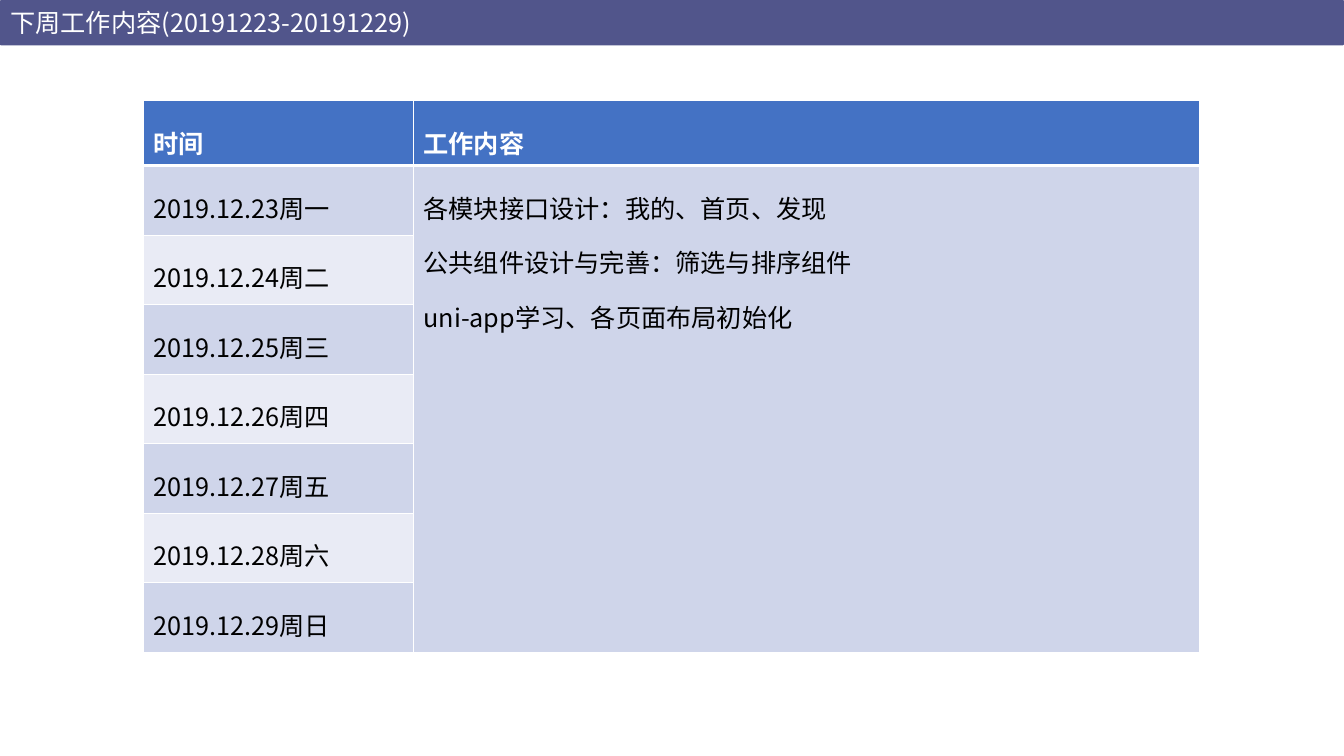
from dataclasses import dataclass

from lxml.etree import SubElement
from pptx import Presentation
from pptx.dml.color import RGBColor
from pptx.enum.shapes import MSO_SHAPE
from pptx.enum.text import MSO_ANCHOR, PP_ALIGN
from pptx.oxml.ns import qn
from pptx.util import Inches, Pt


@dataclass(frozen=True)
class Theme:
    """Colours and type used on the slide."""
    font: str = "Noto Sans CJK SC"
    size: int = 18
    line_spacing: float = 1.5
    white: str = "FFFFFF"
    black: str = "000000"
    banner: str = "51558B"
    header: str = "4472C4"
    bands: tuple = ("CFD5EA", "E9EBF5")
    rule: int = 1
    header_rule: int = 3


THEME = Theme()
SLIDE_WIDTH = Inches(13.33)
TITLE = "下周工作内容(20191223-20191229)"
HEADINGS = ("时间", "工作内容")
DAYS = [f"2019.12.{23 + i}周{name}" for i, name in enumerate("一二三四五六日")]
TASKS = (
    "各模块接口设计：我的、首页、发现",
    "公共组件设计与完善：筛选与排序组件",
    "uni-app学习、各页面布局初始化",
)


def write_lines(frame, lines, color, bold=False, spacing=None):
    """Write one styled paragraph per line into a text frame."""
    frame.text = "\n".join(lines)
    for paragraph in frame.paragraphs:
        paragraph.alignment = PP_ALIGN.LEFT
        paragraph.line_spacing = spacing
        font = paragraph.font
        font.name, font.size, font.bold = THEME.font, Pt(THEME.size), bold
        font.color.rgb = RGBColor.from_string(color)
        properties = paragraph._p.pPr.find(qn("a:defRPr"))
        SubElement(properties, qn("a:ea"), typeface=THEME.font)


def paint(fill, color):
    """Apply a solid colour to a fill."""
    fill.solid()
    fill.fore_color.rgb = RGBColor.from_string(color)


def add_banner(slide):
    """Add the title bar across the top of the slide."""
    banner = slide.shapes.add_shape(
        MSO_SHAPE.ROUNDED_RECTANGLE, 0, 0, SLIDE_WIDTH, Inches(0.45))
    banner.adjustments[0] = 0.03
    banner.shadow.inherit = False
    paint(banner.fill, THEME.banner)
    banner.line.fill.background()
    banner.text_frame.vertical_anchor = MSO_ANCHOR.MIDDLE
    write_lines(banner.text_frame, [TITLE], THEME.white)


def set_borders(cell, top, bottom):
    """Draw white borders around a cell, with widths in points."""
    properties = cell._tc.get_or_add_tcPr()
    widths = {"L": THEME.rule, "R": THEME.rule, "T": top, "B": bottom}
    for side, width in widths.items():
        line = SubElement(properties, qn(f"a:ln{side}"), w=str(Pt(width)))
        fill = SubElement(line, qn("a:solidFill"))
        SubElement(fill, qn("a:srgbClr"), val=THEME.white)


def style_cell(cell, row):
    """Give a cell the borders and fill that belong to its row."""
    set_borders(cell,
                top=THEME.header_rule if row == 1 else THEME.rule,
                bottom=THEME.header_rule if row == 0 else THEME.rule)
    paint(cell.fill, THEME.bands[(row - 1) % 2] if row else THEME.header)


def add_schedule(slide):
    """Add the table of days beside the tasks for the week."""
    header_height, day_height = Inches(0.42), Inches(0.69)
    widths = Inches(2.68), Inches(7.8)
    schedule = slide.shapes.add_table(
        len(DAYS) + 1, len(HEADINGS), Inches(1.42), Inches(1), sum(widths),
        header_height + day_height * len(DAYS)).table
    for column, width in zip(schedule.columns, widths):
        column.width = width
    for index, row in enumerate(schedule.rows):
        row.height = day_height if index else header_height
        for cell in row.cells:
            style_cell(cell, index)
    tasks = schedule.cell(1, 1)
    tasks.merge(schedule.cell(len(DAYS), 1))

    for column, heading in enumerate(HEADINGS):
        write_lines(schedule.cell(0, column).text_frame, [heading],
                    THEME.white, True, THEME.line_spacing)
    for row, day in enumerate(DAYS, start=1):
        write_lines(schedule.cell(row, 0).text_frame, [day],
                    THEME.black, spacing=THEME.line_spacing)
    write_lines(tasks.text_frame, TASKS, THEME.black, spacing=THEME.line_spacing)


def main():
    """Build the weekly plan slide and save it."""
    deck = Presentation()
    deck.slide_width, deck.slide_height = SLIDE_WIDTH, Inches(7.5)
    slide = deck.slides.add_slide(deck.slide_layouts[6])
    add_schedule(slide)
    add_banner(slide)
    deck.save("out.pptx")


main()
